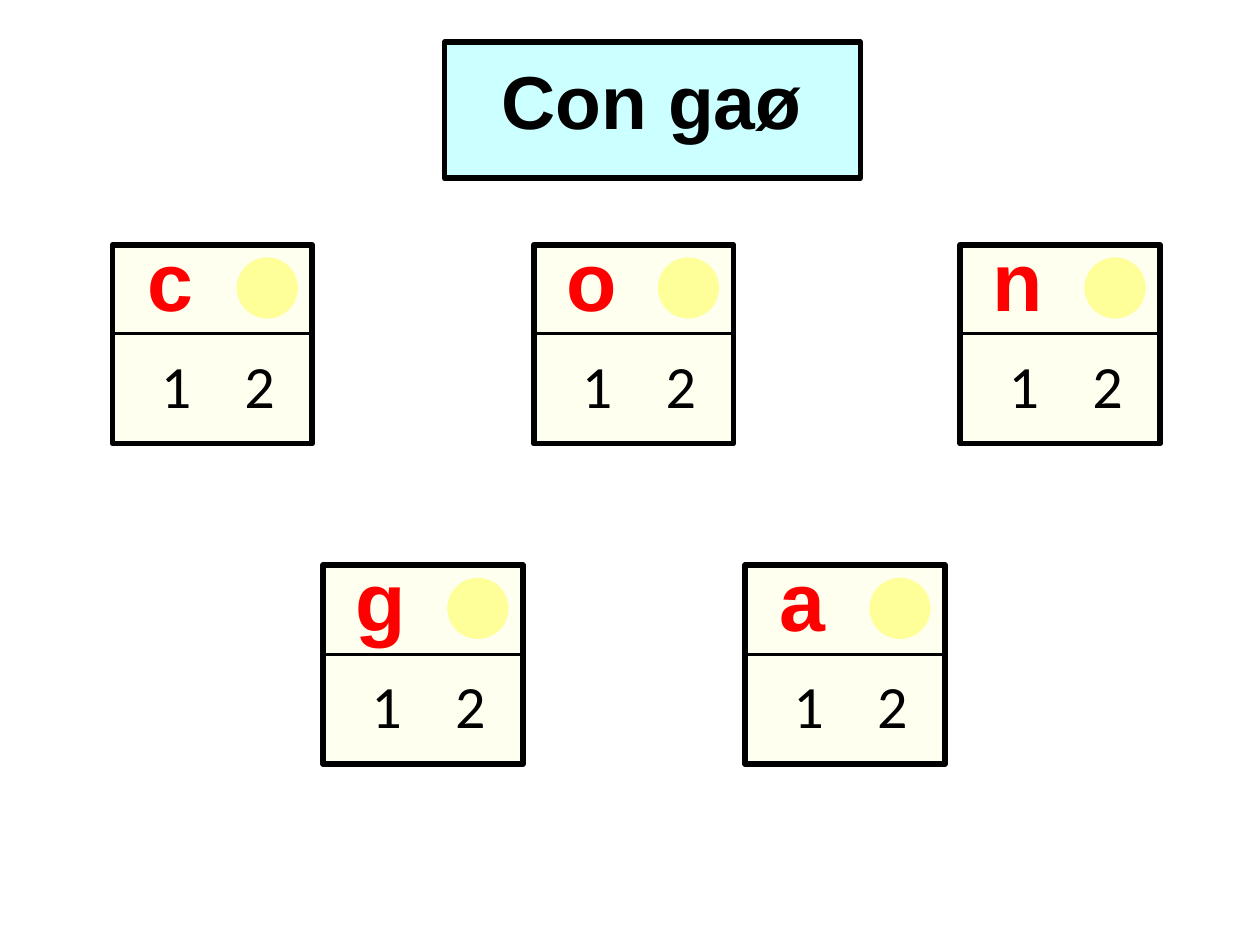
from dataclasses import dataclass

from lxml.etree import SubElement
from pptx import Presentation
from pptx.dml.color import RGBColor
from pptx.enum.shapes import MSO_CONNECTOR, MSO_SHAPE
from pptx.enum.text import MSO_ANCHOR, MSO_AUTO_SIZE, PP_ALIGN
from pptx.oxml.ns import qn
from pptx.util import Inches, Pt

COLS, ROWS = 14, 10.5


@dataclass(frozen=True)
class Theme:
    ink: str = "000000"
    red: str = "FF0000"
    sky: str = "CCFFFF"
    cream: str = "FEFFEF"
    dot: str = "FFFF99"
    head: str = "Arial"
    body: str = "Calibri"
    title: int = 60
    letter: int = 66
    digit: int = 48
    frame: float = 4.5
    rule: float = 2.25


class Board:
    """Draws on one slide; places are in columns and rows of its grid."""

    def __init__(self, deck, theme):
        self.theme = theme
        self.slide = deck.slides.add_slide(deck.slide_layouts[5])
        self.shapes = self.slide.shapes
        self.col = deck.slide_width / COLS
        self.row = deck.slide_height / ROWS

    def place(self, x, y, w, h):
        return [round(n * unit) for n, unit in
                zip((x, y, w, h), (self.col, self.row) * 2)]

    def shape(self, kind, box, fill, edge=0, group=None):
        item = (group or self.slide).shapes.add_shape(kind, *self.place(*box))
        item.shadow.inherit = False
        item.fill.solid()
        item.fill.fore_color.rgb = RGBColor.from_string(fill)
        if edge:
            self.stroke(item, edge)
        else:
            item.line.fill.background()
        return item

    def stroke(self, item, width):
        item.line.color.rgb = RGBColor.from_string(self.theme.ink)
        item.line.width = Pt(width)

    def rule(self, x, y, w, group):
        left, top, wide, _ = self.place(x, y, w, 0)
        line = group.shapes.add_connector(
            MSO_CONNECTOR.STRAIGHT, left + wide, top, left, top)
        self.stroke(line, self.theme.rule)
        SubElement(line._element.spPr, qn("a:effectLst"))

    def letter(self, item, text, size, face, color, bold=False):
        """Put one styled, centred line of text into a shape."""
        frame = item.text_frame
        look = {"word_wrap": True, "auto_size": MSO_AUTO_SIZE.NONE,
                "vertical_anchor": MSO_ANCHOR.TOP}
        for key, value in look.items():
            setattr(frame, key, value)
        para = frame.paragraphs[0]
        para.text, para.alignment = text, PP_ALIGN.CENTER
        for key, value in {"size": Pt(size), "name": face, "bold": bold}.items():
            setattr(para.font, key, value)
        para.font.color.rgb = RGBColor.from_string(color)

    def label(self, box, *style):
        self.letter(self.shapes.add_textbox(*self.place(*box)), *style)

    def title(self, text):
        look = self.theme
        self.shape(MSO_SHAPE.RECTANGLE, (4.94, 0.47, 4.62, 1.51),
                   look.sky, look.frame)
        item = self.shapes.title
        sides = ("left", "top", "width", "height")
        for key, value in zip(sides, self.place(5.02, 0.55, 4.44, 1.38)):
            setattr(item, key, value)
        item.fill.solid()
        item.fill.fore_color.rgb = RGBColor.from_string(look.sky)
        self.letter(item, text, look.title, look.head, look.ink, True)
        # Bring the title in front of its frame
        self.shapes._spTree.append(item._element)

    def card(self, letter, x, y):
        look = self.theme
        group = self.shapes.add_group_shape()
        self.shape(MSO_SHAPE.RECTANGLE, (x, y, 2.22, 2.21),
                   look.cream, look.frame, group)
        self.rule(x - 0.02, y + 0.99, 2.27, group)
        self.shape(MSO_SHAPE.OVAL, (x + 1.38, y + 0.14, 0.68, 0.68), look.dot)
        for digit, shift in (("1", 0.35), ("2", 1.28)):
            self.label((x + shift, y + 1.1, 0.71, 0.91),
                       digit, look.digit, look.body, look.ink)
        self.label((x + 0.22, y - 0.23, 0.84, 1.21),
                   letter, look.letter, look.head, look.red, True)


def main():
    deck = Presentation()
    deck.slide_width, deck.slide_height = Inches(COLS), Inches(ROWS)
    board = Board(deck, Theme())
    words = (("con", 2.72, (1.25, 5.93, 10.67)), ("ga", 6.28, (3.59, 8.28)))
    for word, top, lefts in words:
        for letter, left in zip(word, lefts):
            board.card(letter, left, top)
    board.title("Con gaø")
    deck.save("out.pptx")


if __name__ == "__main__":
    main()
